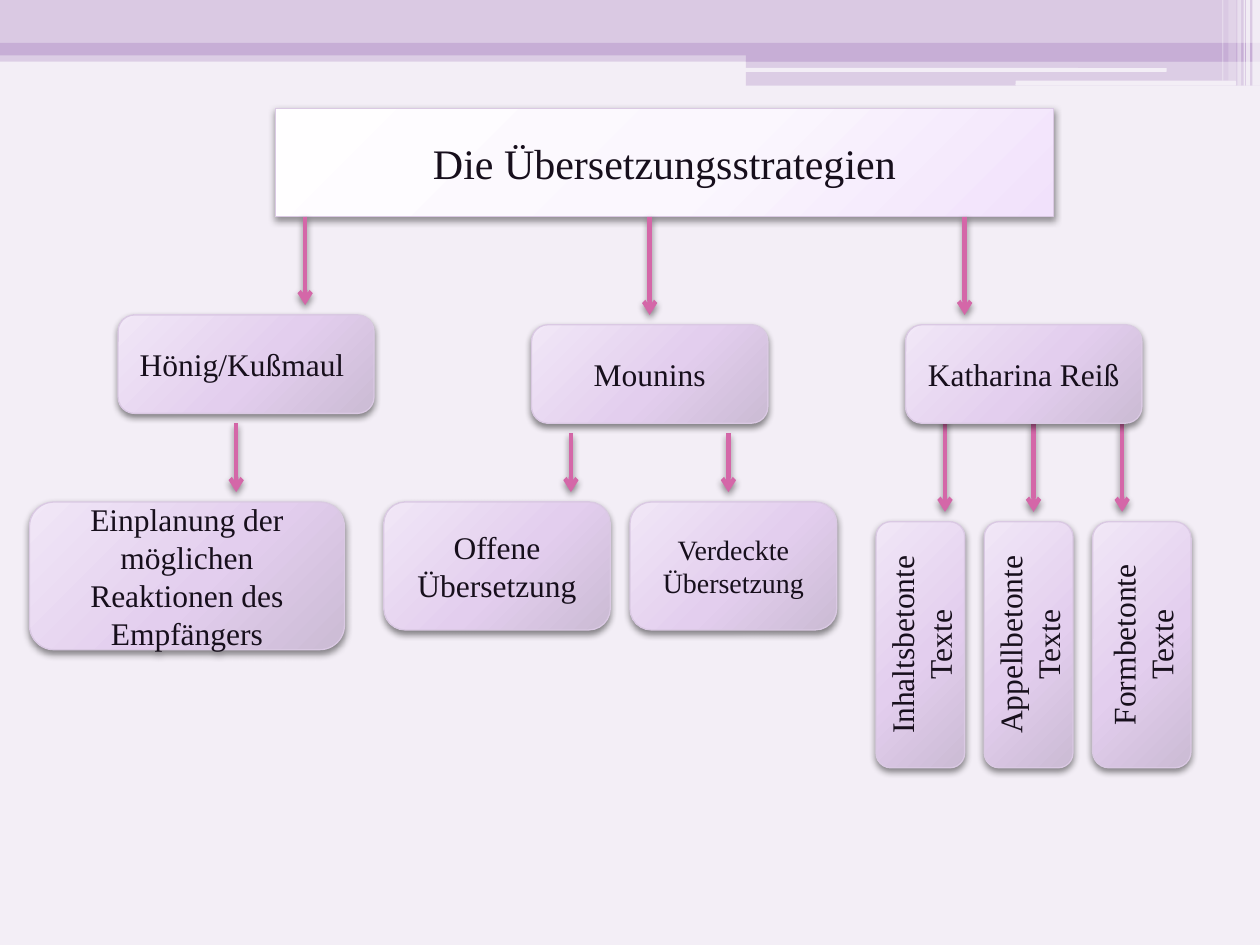
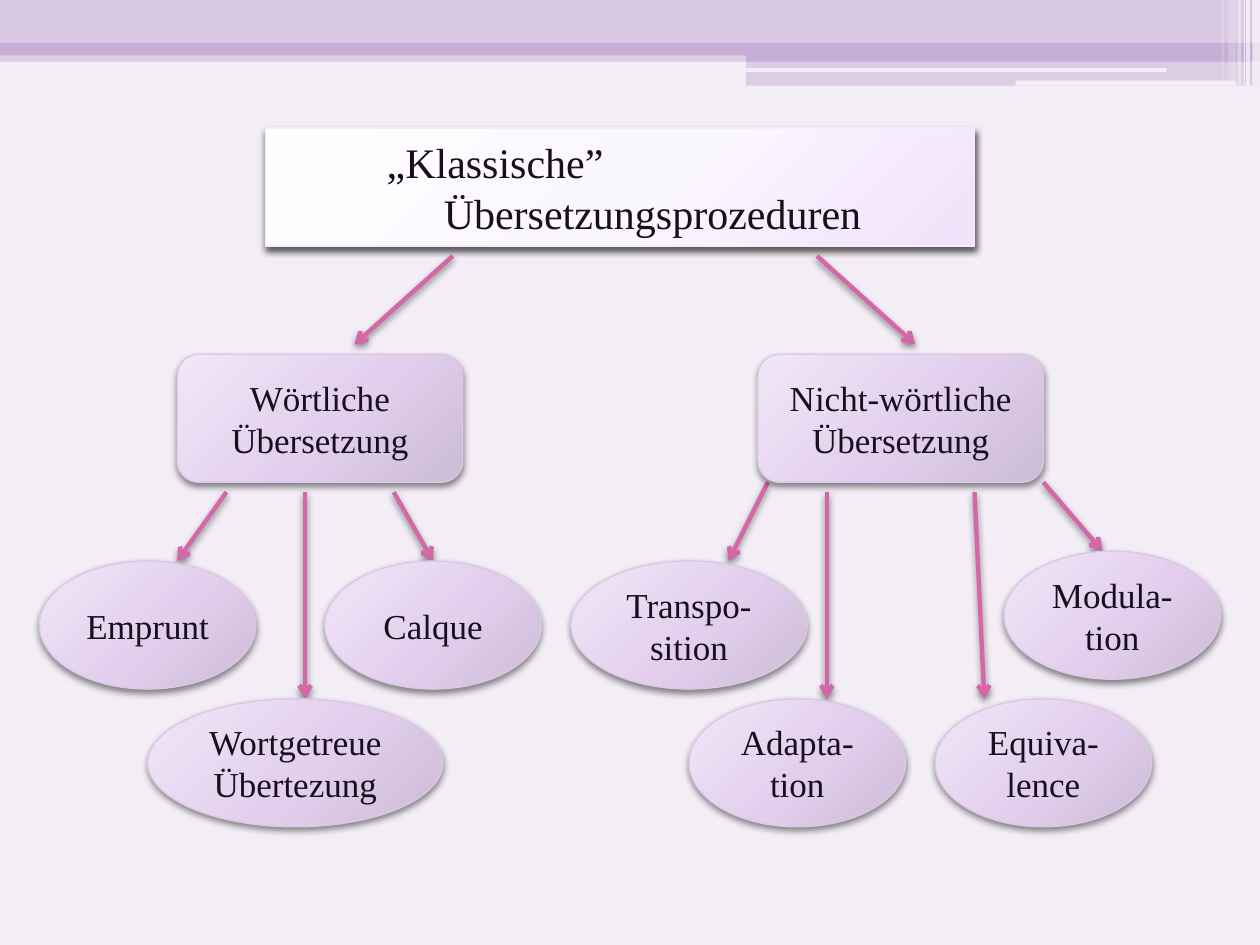
from dataclasses import dataclass

from lxml import etree
from pptx import Presentation
from pptx.dml.color import RGBColor
from pptx.enum.shapes import MSO_CONNECTOR, MSO_SHAPE
from pptx.enum.text import MSO_ANCHOR, MSO_AUTO_SIZE, PP_ALIGN
from pptx.oxml import parse_xml
from pptx.oxml.ns import nsdecls, qn
from pptx.util import Inches, Pt

RECTANGLE = MSO_SHAPE.RECTANGLE
ROUNDED = MSO_SHAPE.ROUNDED_RECTANGLE
OVAL = MSO_SHAPE.OVAL
STRAIGHT = MSO_CONNECTOR.STRAIGHT
CENTER, LEFT = PP_ALIGN.CENTER, PP_ALIGN.LEFT
FRAME_FORMAT = {
    "word_wrap": True,
    "auto_size": MSO_AUTO_SIZE.NONE,
    "vertical_anchor": MSO_ANCHOR.MIDDLE,
}
COLUMNS, ROWS = 128, 96
TITLE_ONLY = 5


@dataclass(frozen=True)
class Theme:
    font: str = "Times New Roman"
    text: str = "170F1C"
    background: str = "F3EEF6"
    band: str = "C7AED6"
    light: str = "DAC9E3"
    pale_line: str = "F4EFF7"
    white: str = "FFFFFF"
    arrow: str = "D467A8"
    title_gradient: tuple = ("FFFEFF", "FBF7FE", "F1E1FB")
    box_gradient: tuple = ("F1E7F7", "E3CEEE", "CBBBD4")
    title_shadow: tuple = (40, 4.1)  # opacity in percent, blur in points
    box_shadow: tuple = (45, 4)
    title_size: int = 24
    branch_size: int = 20
    node_size: int = 18
    small_size: int = 16
    outline: float = 0.75
    arrow_width: float = 2.5


def apply(target, values):
    for name, value in values.items():
        setattr(target, name, value)


def color(value):
    return RGBColor.from_string(value)


class Deck:
    """Holds the theme, the presentation and the slide being drawn."""

    def __init__(self, theme):
        self.theme = theme
        self.presentation = Presentation()
        apply(self.presentation, {"slide_width": Inches(10), "slide_height": Inches(7.5)})
        self.master = self.presentation.slide_master
        self.slide = None

    def new_slide(self):
        layout = self.presentation.slide_layouts[TITLE_ONLY]
        self.slide = self.presentation.slides.add_slide(layout)

    def place(self, values, columns=COLUMNS, rows=ROWS):
        """Turn alternating columns and rows into slide lengths."""
        steps = (self.presentation.slide_width / columns,
                 self.presentation.slide_height / rows)
        return [round(value * steps[i % 2]) for i, value in enumerate(values)]

    # Surfaces
    def add_shadow(self, properties, shadow):
        opacity, blur = shadow
        effects = properties.find(qn("a:effectLst"))
        if effects is None:
            effects = etree.SubElement(properties, qn("a:effectLst"))
        effects.append(parse_xml(
            f'<a:outerShdw {nsdecls("a")} blurRad="{Pt(blur)}" dist="{Pt(2)}" '
            f'dir="5400000" rotWithShape="0"><a:srgbClr val="000000">'
            f'<a:alpha val="{opacity * 1000}"/></a:srgbClr></a:outerShdw>'))

    def paint(self, shape, gradient, shadow, outline):
        stops = "".join(
            f'<a:gs pos="{position * 1000}"><a:srgbClr val="{value}"/></a:gs>'
            for position, value in zip((0, 55, 100), gradient))
        properties = shape.element.spPr
        properties.find(qn("a:prstGeom")).addnext(parse_xml(
            f'<a:gradFill {nsdecls("a")} rotWithShape="1"><a:gsLst>{stops}</a:gsLst>'
            '<a:path path="circle"><a:fillToRect l="-40000" t="-90000" '
            'r="140000" b="190000"/></a:path></a:gradFill>'))
        shape.line.color.rgb = color(outline)
        shape.line.width = Pt(self.theme.outline)
        shape.shadow.inherit = False
        self.add_shadow(properties, shadow)

    def set_text(self, shape, text, size, alignment=CENTER):
        frame = shape.text_frame
        frame.text = text
        apply(frame, FRAME_FORMAT)
        paragraph = frame.paragraphs[0]
        paragraph.alignment = alignment
        for run in paragraph.runs:
            apply(run.font, {"name": self.theme.font, "size": Pt(size)})
            run.font.color.rgb = color(self.theme.text)
        return paragraph

    # Elements
    def master_band(self, share, fill, opacity=100, kind=RECTANGLE):
        """Add a plain band to the master; share is in percent of the slide."""
        shape = self.slide.shapes.add_shape(kind, *self.place(share, 100, 100))
        shape.fill.solid()
        shape.fill.fore_color.rgb = color(fill)
        shape.line.fill.background()
        shape.shadow.inherit = False
        if opacity < 100:
            value = shape.element.spPr.find(qn("a:solidFill"))[0]
            etree.SubElement(value, qn("a:alpha"), val=str(opacity * 1000))
        tree = self.master.shapes.element
        shape.element.nvSpPr.cNvPr.set("id", str(100 + len(tree)))
        tree.append(shape.element)

    def title(self, text, cells, geometry, outline, alignment=CENTER):
        shape = self.slide.shapes.title
        apply(shape, dict(zip(("left", "top", "width", "height"), self.place(cells))))
        shape.element.spPr.append(parse_xml(
            f'<a:prstGeom {nsdecls("a")} prst="{geometry}"><a:avLst/></a:prstGeom>'))
        self.paint(shape, self.theme.title_gradient, self.theme.title_shadow, outline)
        self.slide.shapes.element.append(shape.element)  # bring to front
        return self.set_text(shape, text, self.theme.title_size, alignment)

    def title_backing(self, cells):
        shape = self.slide.shapes.add_shape(ROUNDED, *self.place(cells))
        shape.adjustments[0] = 0
        self.paint(shape, self.theme.title_gradient, self.theme.title_shadow,
                   self.theme.light)

    def node(self, text, cells, size, kind=ROUNDED, upright=False):
        shape = self.slide.shapes.add_shape(kind, *self.place(cells))
        self.paint(shape, self.theme.box_gradient, self.theme.box_shadow,
                   self.theme.light)
        self.set_text(shape, text, size)
        if upright:
            shape.element.txBody.find(qn("a:bodyPr")).set("vert", "vert270")

    def arrow(self, *ends):
        connector = self.slide.shapes.add_connector(STRAIGHT, *self.place(ends))
        connector.line.color.rgb = color(self.theme.arrow)
        connector.line.width = Pt(self.theme.arrow_width)
        properties = connector.element.spPr
        etree.SubElement(properties.find(qn("a:ln")), qn("a:tailEnd"), type="arrow")
        self.add_shadow(properties, self.theme.box_shadow)


def build_master(deck):
    theme = deck.theme
    deck.master.background.fill.solid()
    deck.master.background.fill.fore_color.rgb = color(theme.background)
    # Horizontal bands
    for share, fill, opacity in (
        ((0, 5.33, 100, 1.2), theme.band, 50),
        ((0, 0, 100, 4.53), theme.light, 100),
        ((0, 4.53, 100, 1.33), theme.band, 100),
        ((59.2, 5.2, 40.8, 1.33), theme.band, 100),
        ((59.2, 6.4, 40.8, 2.67), theme.band, 50),
    ):
        deck.master_band(share, fill, opacity)
    for share in ((59.1, 7.2, 33.5, 0.4), (80.6, 8.53, 17.5, 0.53)):
        deck.master_band(share, theme.background, kind=ROUNDED)
    # Vertical stripes at the right edge
    for left, width, height, opacity in (
        (99.4, 0.6, 9.07, 65), (98.9, 0.3, 9.07, 65), (98.7, 0.1, 9.07, 60),
        (98.2, 0.3, 9.07, 40), (97.5, 0.6, 8.53, 20), (97, 0.1, 8.53, 30),
    ):
        deck.master_band((left, 0, width, height), theme.white, opacity)


def build_strategies(deck):
    theme = deck.theme
    deck.title("Die Übersetzungsstrategien", (28, 11, 79, 11), "roundRect", theme.light)
    # Arrows: column, first row, last row
    for column, start, end in (
        (31, 22, 31), (66, 22, 32), (98, 22, 32),
        (24, 43, 50), (58, 44, 50), (74, 44, 50),
        (96, 42, 52), (105, 43, 52), (114, 43, 52),
    ):
        deck.arrow(column, start, column, end)
    # Authors and their strategies
    for text, cells in (
        ("Hönig/Kußmaul ", (12, 32, 26, 10)),
        ("Mounins", (54, 33, 24, 10)),
        ("Katharina Reiß", (92, 33, 24, 10)),
        ("Einplanung der möglichen Reaktionen des Empfängers", (3, 51, 32, 15)),
        ("Offene Übersetzung", (39, 51, 23, 13)),
    ):
        deck.node(text, cells, theme.node_size)
    deck.node("Verdeckte Übersetzung", (64, 51, 21, 13), theme.small_size)
    # Upright text types
    for i, (kind, width) in enumerate(
            (("Inhaltsbetonte", 9), ("Appellbetonte", 9), ("Formbetonte", 10))):
        deck.node(f"{kind} Texte", (89 + 11 * i, 53, width, 25), theme.node_size,
                  upright=True)


def build_procedures(deck):
    theme = deck.theme
    # Title with a hanging first line
    cells = (27, 13, 72, 12)
    deck.title_backing(cells)
    paragraph = deck.title("„Klassische”\vÜbersetzungsprozeduren", cells, "rect",
                           theme.pale_line, LEFT)
    margin, hanging = deck.place((16.8, 0, -5.8))[::2]
    properties = paragraph._p.get_or_add_pPr()
    properties.set("marL", str(margin))
    properties.set("indent", str(hanging))
    # Arrows: from, to
    for ends in (
        (46, 26, 36, 35), (83, 26, 93, 35),
        (23, 50, 18, 57), (31, 50, 31, 71), (40, 50, 44, 57),
        (78, 49, 74, 57), (106, 49, 112, 56), (84, 50, 84, 71), (99, 50, 100, 71),
    ):
        deck.arrow(*ends)
    # Branches
    for text, column in (("Wörtliche", 18), ("Nicht-wörtliche", 77)):
        deck.node(f"{text} Übersetzung", (column, 36, 29, 13), theme.branch_size)
    # Procedures: column, row, width
    for text, column, row, width in (
        ("Emprunt", 4, 57, 22),
        ("Wortgetreue Übertezung", 15, 71, 30),
        ("Calque", 33, 57, 22),
        ("Transpo-sition", 58, 57, 24),
        ("Adapta-tion", 70, 71, 22),
        ("Modula-tion", 102, 56, 22),
        ("Equiva-lence", 95, 71, 22),
    ):
        deck.node(text, (column, row, width, 13), theme.branch_size, OVAL)


deck = Deck(Theme())
deck.new_slide()
build_master(deck)
build_strategies(deck)
deck.new_slide()
build_procedures(deck)
deck.presentation.save("out.pptx")
